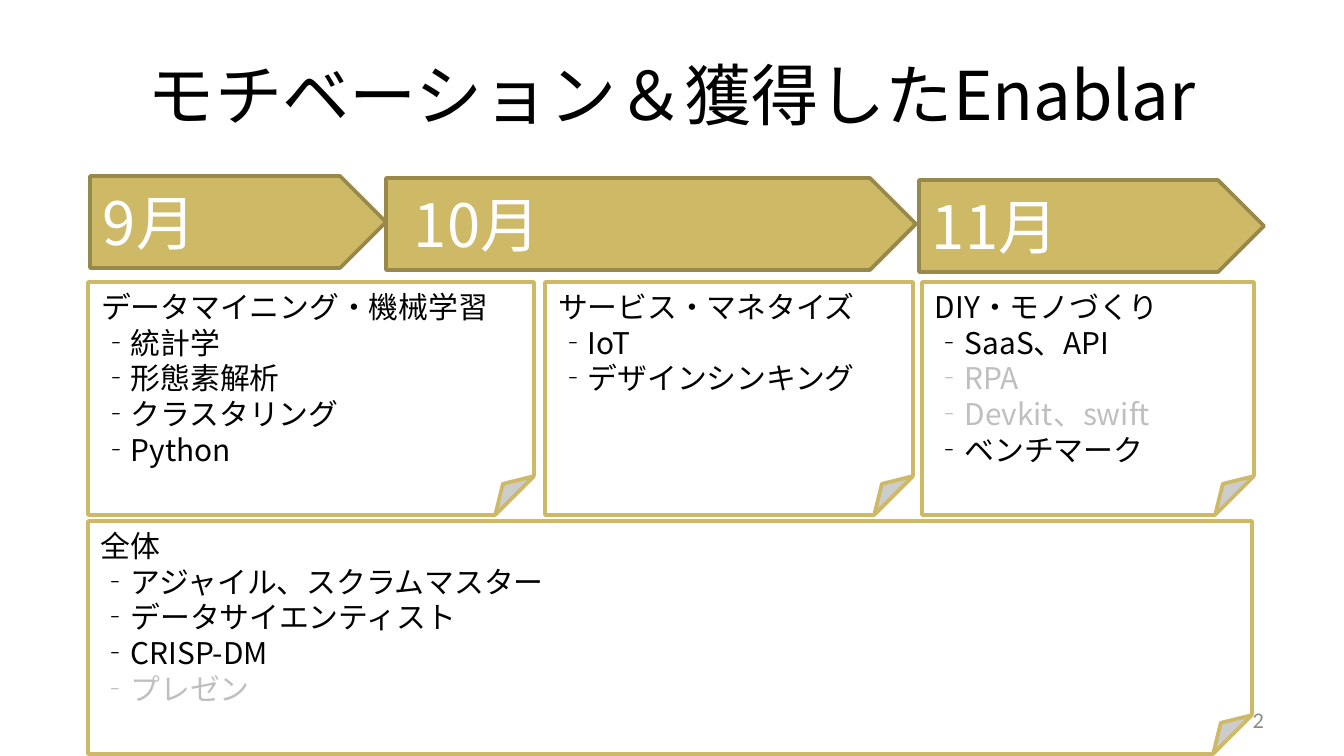
from lxml import etree
from pptx import Presentation
from pptx.dml.color import RGBColor
from pptx.enum.shapes import MSO_SHAPE
from pptx.enum.text import MSO_ANCHOR, PP_ALIGN
from pptx.oxml.ns import qn
from pptx.util import Emu, Pt

ARROW, NOTE = MSO_SHAPE.PENTAGON, MSO_SHAPE.FOLDED_CORNER
TOP, MIDDLE = MSO_ANCHOR.TOP, MSO_ANCHOR.MIDDLE
LEFT, CENTER, RIGHT = PP_ALIGN.LEFT, PP_ALIGN.CENTER, PP_ALIGN.RIGHT

JAPANESE, LATIN = "Noto Sans CJK JP", "Calibri"
GOLD, DARK_GOLD = "CEB966", "98894B"
WHITE, BLACK, PALE, GRAY = "FFFFFF", "000000", "BFBFBF", "8C8C8C"

TITLE = "モチベーション＆獲得したEnablar"
PAGE_NUMBER = "2"

# month, left, top, width, text inset
MONTHS = [
    ("9月", 90, 176, 296, 13),
    ("10月", 386, 178, 530, 28),
    ("11月", 919, 180, 345, 13),
]
MONTH_HEIGHT = 92

# left, top, width, heading, skills
TOPICS = [
    (88, 282, 446, "データマイニング・機械学習",
     ["統計学", "形態素解析", "クラスタリング", "Python"]),
    (545, 282, 368, "サービス・マネタイズ", ["IoT", "デザインシンキング"]),
    (922, 282, 332, "DIY・モノづくり",
     ["SaaS、API", "RPA", "Devkit、swift", "ベンチマーク"]),
    (88, 521, 1164, "全体",
     ["アジャイル、スクラムマスター", "データサイエンティスト", "CRISP-DM", "プレゼン"]),
]
TOPIC_HEIGHT = 233
NOT_ACQUIRED = {"RPA", "Devkit、swift", "プレゼン"}


def px(length):
    return Emu(round(length * 914400 / 134.4))


def rgb(color):
    return RGBColor.from_string(color)


def write(shape, lines, size, anchor=MIDDLE, align=LEFT, font=JAPANESE,
          inset=13, spacing=None):
    """Fill a shape with (text, colour) lines, one paragraph each."""
    frame = shape.text_frame
    frame.word_wrap = True
    frame.vertical_anchor = anchor
    frame.margin_left, frame.margin_right = px(inset), px(13)
    frame.margin_top = frame.margin_bottom = px(7)
    for number, (text, color) in enumerate(lines):
        paragraph = frame.add_paragraph() if number else frame.paragraphs[0]
        paragraph.text = text
        paragraph.alignment = align
        if spacing:
            paragraph.line_spacing = Pt(spacing)
        paragraph.font.size = Pt(size)
        paragraph.font.name = font
        paragraph.font.color.rgb = rgb(color)
        defaults = paragraph.font._element
        etree.SubElement(defaults, qn("a:ea"), typeface=font)


def add_panel(slide, kind, box, fill, outline):
    panel = slide.shapes.add_shape(kind, *map(px, box))
    panel.shadow.inherit = False
    panel.fill.solid()
    panel.fill.fore_color.rgb = rgb(fill)
    panel.line.color.rgb = rgb(outline)
    panel.line.width = Pt(2)
    return panel


def main():
    deck = Presentation()
    deck.slide_width, deck.slide_height = px(1344), px(756)
    slide = deck.slides.add_slide(deck.slide_layouts[6])

    for month, left, top, width, inset in MONTHS:
        arrow = add_panel(slide, ARROW, (left, top, width, MONTH_HEIGHT),
                          GOLD, DARK_GOLD)
        write(arrow, [(month, WHITE)], 32, inset=inset)

    title = slide.shapes.add_textbox(px(67), px(31), px(1210), px(126))
    write(title, [(TITLE, BLACK)], 36, align=CENTER)

    for left, top, width, heading, skills in TOPICS:
        note = add_panel(slide, NOTE, (left, top, width, TOPIC_HEIGHT),
                         WHITE, GOLD)
        lines = [(heading, BLACK)]
        lines += [("‐" + skill, PALE if skill in NOT_ACQUIRED else BLACK)
                  for skill in skills]
        write(note, lines, 16, anchor=TOP, spacing=19.1)

    number = slide.shapes.add_textbox(px(964), px(700), px(313), px(40))
    write(number, [(PAGE_NUMBER, GRAY)], 12, align=RIGHT, font=LATIN)

    deck.save("out.pptx")


if __name__ == "__main__":
    main()
